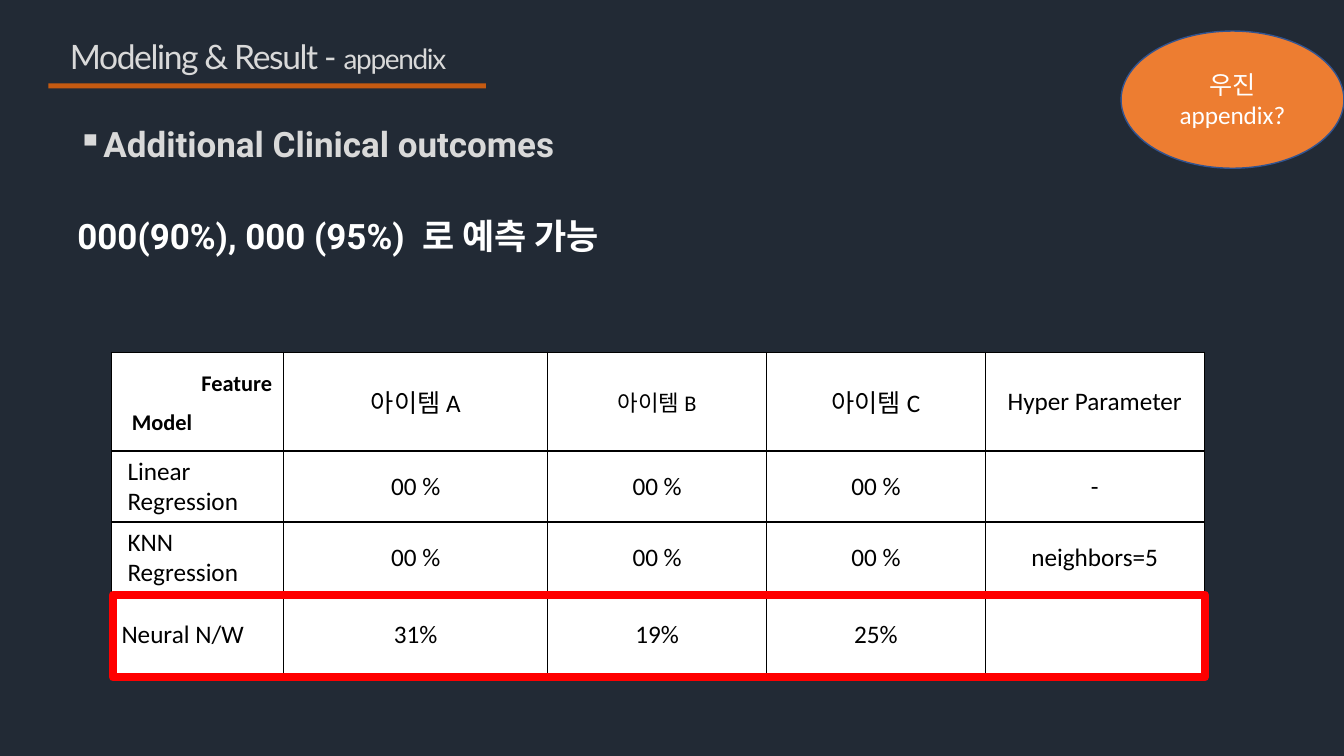
from lxml.etree import SubElement
from pptx import Presentation
from pptx.dml.color import RGBColor
from pptx.enum.shapes import MSO_SHAPE as Shape
from pptx.enum.text import MSO_ANCHOR as Anchor, PP_ALIGN as Align
from pptx.oxml.ns import qn
from pptx.util import Pt

NAVY = RGBColor(0x22, 0x2A, 0x35)
LIGHT_GRAY = RGBColor(0xD9, 0xD9, 0xD9)
WHITE = RGBColor(0xFF, 0xFF, 0xFF)
BLACK = RGBColor(0, 0, 0)
RUST = RGBColor(0xC5, 0x5A, 0x11)
ORANGE = RGBColor(0xED, 0x7D, 0x31)
BLUE = RGBColor(0x32, 0x54, 0x91)
RED = RGBColor(0xFF, 0, 0)


class SlideBuilder:
    """Holds the slide and its fonts, and adds each kind of element."""

    title_font, heading_font, body_font = "Lato", "Roboto", "Calibri"

    def __init__(self, slide):
        """Keep the slide and paint its background."""
        self.slide = slide
        slide.background.fill.solid()
        slide.background.fill.fore_color.rgb = NAVY

    def style(self, paragraph, name, size, color, bold=False, align=Align.LEFT):
        """Set the font and alignment of a paragraph."""
        font = paragraph.font
        font.name, font.size, font.bold = name, Pt(size), bold
        font.color.rgb = color
        paragraph.alignment = align

    def fill_frame(self, frame, text, size, color, align):
        """Fill a frame with one body-font paragraph per line of text."""
        frame.text = text
        for paragraph in frame.paragraphs:
            self.style(paragraph, self.body_font, size, color, align=align)

    def title(self, box, parts):
        """Place the title and give each (text, size) part its own run."""
        title = self.slide.shapes.title
        title.left, title.top, title.width, title.height = map(Pt, box)
        title.text_frame.vertical_anchor = Anchor.MIDDLE
        paragraph = title.text_frame.paragraphs[0]
        self.style(paragraph, self.title_font, parts[0][1], LIGHT_GRAY, align=Align.CENTER)
        paragraph.line_spacing = 0.9
        for text, size in parts:
            run = paragraph.add_run()
            run.text, run.font.size = text, Pt(size)
            run.font._element.set("spc", "-100")

    def text(self, box, text, name, size, color, anchor=Anchor.MIDDLE, bullet=None):
        """Add a bold line of text, with a bullet if one is given."""
        frame = self.slide.shapes.add_textbox(*map(Pt, box)).text_frame
        frame.word_wrap, frame.vertical_anchor, frame.text = True, anchor, text
        paragraph = frame.paragraphs[0]
        self.style(paragraph, name, size, color, bold=True)
        if bullet:
            props = paragraph._p.get_or_add_pPr()
            props.set("marL", str(Pt(18)))
            props.set("indent", str(-Pt(18)))
            mark = props.makeelement(qn("a:buChar"), {"char": bullet})
            props.insert_element_before(mark, "a:tabLst", "a:defRPr", "a:extLst")

    def shape(self, kind, box, fill=None, line=None, weight=1):
        """Add a preset shape; no colour means no fill or no line."""
        shape = self.slide.shapes.add_shape(kind, *map(Pt, box))
        shape.shadow.inherit = False
        if fill is None:
            shape.fill.background()
        else:
            shape.fill.solid()
            shape.fill.fore_color.rgb = fill
        if line is None:
            shape.line.fill.background()
        else:
            shape.line.color.rgb, shape.line.width = line, Pt(weight)
        return shape

    def table(self, box, widths, heights, rows):
        """Add a white table with black borders and labels in column one."""
        table = self.slide.shapes.add_table(len(rows), len(widths), *map(Pt, box)).table
        for column, width in zip(table.columns, widths):
            column.width = Pt(width)
        for row, height, values in zip(table.rows, heights, rows):
            row.height = Pt(height)
            for index, (cell, value) in enumerate(zip(row.cells, values)):
                size = 16 if value == "아이템 B" else 18
                align = Align.CENTER if index else Align.LEFT
                self.fill_frame(cell.text_frame, value, size, BLACK, align)
                cell.vertical_anchor = Anchor.MIDDLE
                if "\n" in value:
                    cell.margin_left = Pt(11.5)
                self.border(cell)
                cell.fill.solid()
                cell.fill.fore_color.rgb = WHITE

    def border(self, cell):
        """Draw a thin black line on all four sides of a cell."""
        props = cell._tc.get_or_add_tcPr()
        for side in "LRTB":
            line = SubElement(props, qn(f"a:ln{side}"), w=str(Pt(1)))
            SubElement(SubElement(line, qn("a:solidFill")), qn("a:srgbClr"), val=str(BLACK))


def main():
    """Build and save the appendix slide."""
    deck = Presentation()
    deck.slide_width, deck.slide_height = Pt(960), Pt(540)
    page = SlideBuilder(deck.slides.add_slide(deck.slide_layouts[5]))

    page.title((32.4, 22.3, 303.8, 38.9), [("Modeling & Result - ", 24), ("appendix", 20)])
    page.shape(Shape.RECTANGLE, (34.6, 59.6, 312.5, 3.6), fill=RUST)
    page.text((48.2, 63.4, 829.4, 78.5), "Additional Clinical outcomes",
              page.heading_font, 25, LIGHT_GRAY, bullet="▪")
    page.text((48.2, 142.6, 829.4, 51.8), "000(90%), 000 (95%)  로 예측 가능",
              page.heading_font, 25, WHITE)

    scores = ["00 %"] * 3
    page.table((79.6, 251.6, 780.7, 232), [123.1, 188.6] + [156.3] * 3, [70.6, 50.7, 50.7, 60], [
        ["", "아이템 A", "아이템 B", "아이템 C", "Hyper Parameter"],
        ["Linear\nRegression", *scores, "-"],
        ["KNN\nRegression", *scores, "neighbors=5"],
        ["Neural N/W", "31%", "19%", "25%", ""],
    ])
    page.shape(Shape.RECTANGLE, (80.8, 424.8, 779.8, 59), line=RED, weight=6)

    remark = page.shape(Shape.OVAL, (800.8, 22.2, 159.2, 98), fill=ORANGE, line=BLUE)
    remark.text_frame.vertical_anchor = Anchor.MIDDLE
    page.fill_frame(remark.text_frame, "우진\nappendix?", 18, WHITE, Align.CENTER)

    for axis, left, top in [("Feature", 136.8, 260), ("Model", 87.1, 288)]:
        page.text((left, top, 71.3, 26.6), axis, page.body_font, 16, BLACK, Anchor.TOP)

    deck.save("out.pptx")


main()
